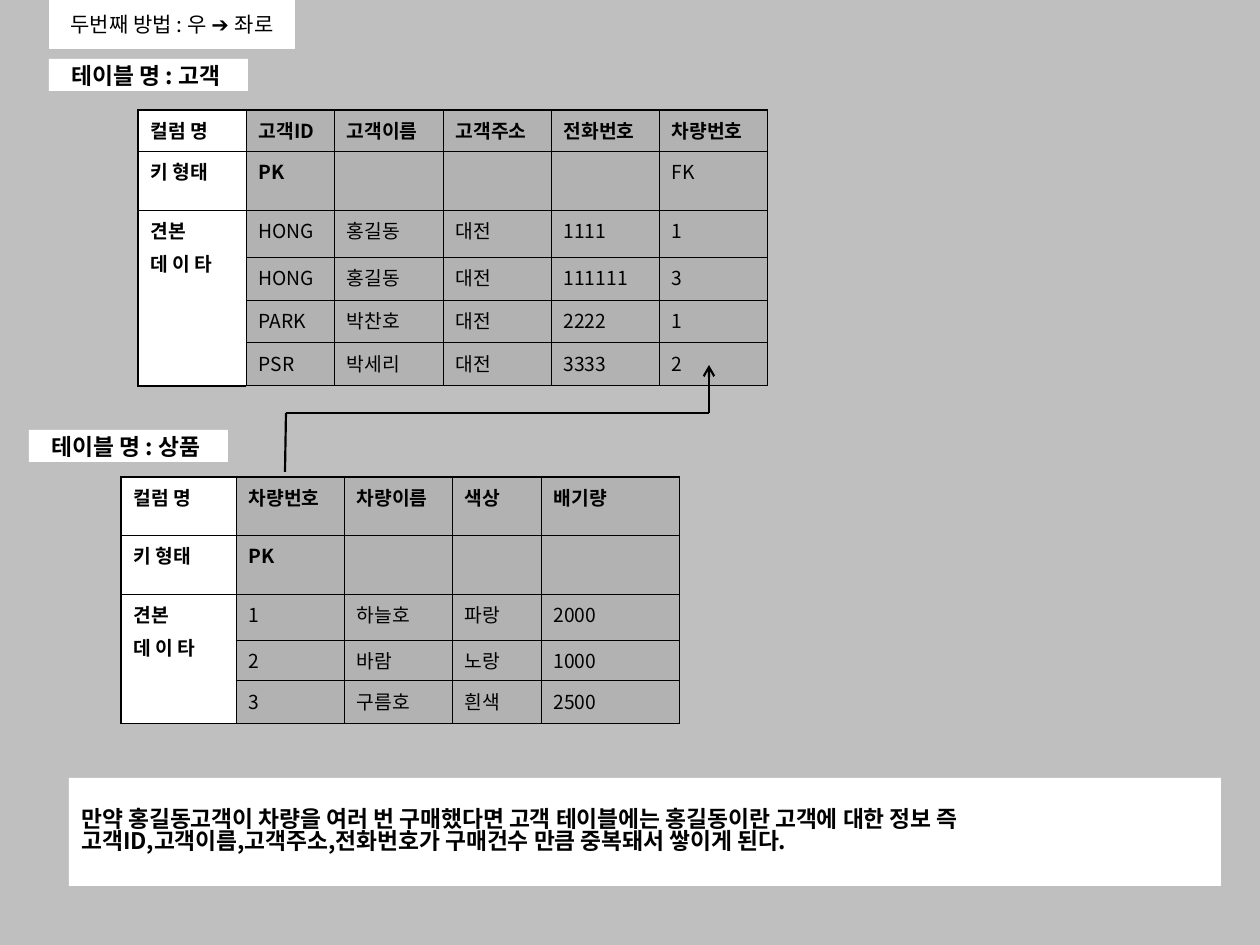
from dataclasses import dataclass

from lxml import etree
from pptx import Presentation
from pptx.dml.color import RGBColor
from pptx.enum.shapes import MSO_CONNECTOR, MSO_SHAPE
from pptx.enum.text import MSO_ANCHOR, PP_ALIGN
from pptx.oxml.ns import qn
from pptx.util import Pt

SCALE = 914400 // 126
RECT, LINE = MSO_SHAPE.RECTANGLE, MSO_CONNECTOR.STRAIGHT
MID = MSO_ANCHOR.MIDDLE
LEFT, CENTER, FULL = PP_ALIGN.LEFT, PP_ALIGN.CENTER, PP_ALIGN.JUSTIFY


@dataclass(frozen=True)
class Theme:
    back: str = "BFBFBF"
    cell: str = "B2B2B2"
    white: str = "FFFFFF"
    ink: str = "000000"
    font: str = "Noto Sans CJK KR"
    sign: str = "Arial"
    small: int = 11
    mid: int = 12
    big: int = 13
    thin: float = 0.45
    thick: float = 1.08
    wire: float = 1.25
    gap: float = 2.8


def px(num):
    return num * SCALE


def rgb(code):
    return RGBColor.from_string(code)


def add(node, tag, **attrs):
    return etree.SubElement(node, qn(tag), attrs)


class Page:
    def __init__(self, slide, theme):
        self.slide, self.theme = slide, theme
        fill = slide.background.fill
        fill.solid()
        fill.fore_color.rgb = rgb(theme.back)

    def style(self, run, size, bold, face=None):
        font, face = run.font, face or self.theme.font
        font.size, font.bold, font.name = Pt(size), bold, face
        font.color.rgb = rgb(self.theme.ink)
        add(font._element, "a:ea", typeface=face)

    def box(self, x, y, w, h, text, size, bold=True, align=CENTER, pitch=None):
        """Draw a white label; each arrow sign gets its own run and font."""
        shape = self.slide.shapes.add_shape(RECT, px(x), px(y), px(w), px(h))
        shape.shadow.inherit = False
        shape.fill.solid()
        shape.fill.fore_color.rgb = rgb(self.theme.white)
        shape.line.fill.background()
        frame = shape.text_frame
        frame.word_wrap, frame.vertical_anchor = False, MID
        frame.text = text
        for para in frame.paragraphs:
            para.alignment, para.line_spacing = align, pitch
            head, sign, tail = para.text.partition("➔ ")
            para.runs[0].text = head
            for part in filter(None, (sign, tail)):
                para.add_run().text = part
            for run in para.runs:
                face = self.theme.sign if run.text == sign else None
                self.style(run, size, bold, face)

    def edge(self, cell, sides):
        props = cell._tc.get_or_add_tcPr()
        for side, width in sides.items():
            line = add(props, f"a:ln{side}", w=str(Pt(width)))
            fill = add(line, "a:solidFill")
            add(fill, "a:srgbClr", val=self.theme.ink)

    def cell(self, cell, text, fill, bold, align):
        cell.fill.solid()
        cell.fill.fore_color.rgb = rgb(fill)
        cell.text_frame.text = text
        for num, para in enumerate(cell.text_frame.paragraphs):
            para.alignment = align
            if num:
                para.space_before = Pt(self.theme.gap)
            for run in para.runs:
                self.style(run, self.theme.small, bold)

    def table(self, x, y, cols, rows, data, foot, full=()):
        """Draw a table whose first column names the rows; from row 2 it is one cell."""
        look = self.theme
        grid = self.slide.shapes.add_table(
            len(rows), len(cols), px(x), px(y), px(sum(cols)), px(sum(rows))).table
        for col, wide in zip(grid.columns, cols):
            col.width = px(wide)
        for row, high in zip(grid.rows, rows):
            row.height = px(high)
        last = len(rows) - 1
        for r, line in enumerate(data):
            for c, text in enumerate(line):
                cell = grid.cell(r, c)
                low = r > 1 if c == 0 else r == last and foot
                self.edge(cell, {
                    "L": look.thin if c else look.thick,
                    "R": look.thin,
                    "T": look.thin if r else look.thick,
                    "B": look.thick if low else look.thin})
                self.cell(cell, text, look.cell if c else look.white,
                          c == 0 or r == 0 or text == "PK",
                          FULL if r > 1 and c in full else LEFT)
        grid.cell(2, 0).merge(grid.cell(last, 0))

    def route(self, spots):
        """Join the spots by lines, with an arrowhead at the last one."""
        group = self.slide.shapes.add_group_shape()
        for start, end in zip(spots, spots[1:]):
            wire = group.shapes.add_connector(LINE, *map(px, start + end))
            wire.line.width = Pt(self.theme.wire)
            wire.line.color.rgb = rgb(self.theme.ink)
            add(wire._element.spPr, "a:effectLst")
        add(wire.line._get_or_add_ln(), "a:tailEnd", type="arrow")


def main():
    theme = Theme()
    deck = Presentation()
    deck.slide_width, deck.slide_height = px(1260), px(945)
    page = Page(deck.slides.add_slide(deck.slide_layouts[6]), theme)

    page.table(138, 110, [108, 88, 109, 108, 108, 108], [41, 59, 47, 43, 43, 43], [
        ["컬럼 명", "고객ID", "고객이름", "고객주소", "전화번호", "차량번호"],
        ["키 형태", "PK", "", "", "", "FK"],
        ["견본\n데 이 타", "HONG", "홍길동", "대전", "1111", "1"],
        ["", "HONG", "홍길동", "대전", "111111", "3"],
        ["", "PARK", "박찬호", "대전", "2222", "1"],
        ["", "PSR", "박세리", "대전", "3333", "2"],
    ], foot=False)
    page.box(49, 59, 199, 32, "테이블 명 : 고객 ", theme.big)
    page.box(69, 778, 1152, 108,
             "만약 홍길동고객이 차량을 여러 번 구매했다면 고객 테이블에는 "
             "홍길동이란 고객에 대한 정보 즉\n"
             "고객ID,고객이름,고객주소,전화번호가 구매건수 만큼 중복돼서 쌓이게 된다.",
             theme.big, align=LEFT, pitch=0.82)
    page.table(121, 477, [115, 108, 108, 89, 138], [58, 59, 46, 40, 43], [
        ["컬럼 명", "차량번호", "차량이름", "색상", "배기량"],
        ["키 형태", "PK", "", "", ""],
        ["견본\n데 이 타", "1", "하늘호", "파랑", "2000"],
        ["", "2", "바람", "노랑", "1000"],
        ["", "3", "구름호", "흰색", "2500"],
    ], foot=True, full=(3, 4))
    page.box(29, 430, 199, 32, "테이블 명 : 상품 ", theme.big)
    page.route([(285, 472), (286, 413), (709, 413), (709, 365)])
    page.box(49, 0, 246, 49, "두번째 방법 : 우 ➔ 좌로", theme.mid, bold=False)
    deck.save("out.pptx")


if __name__ == "__main__":
    main()
